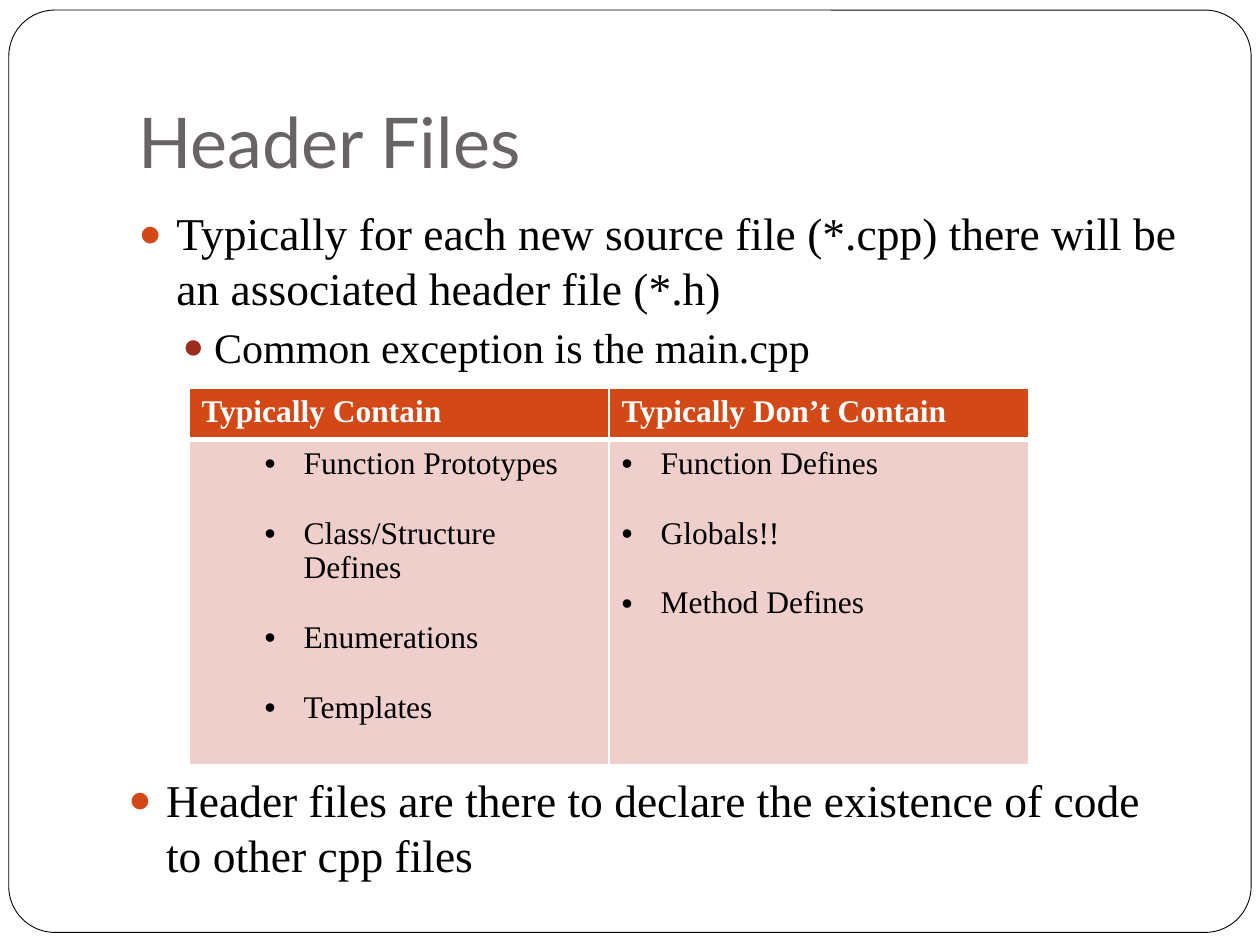
from lxml import etree
from pptx import Presentation
from pptx import util as u
from pptx.dml.color import RGBColor
from pptx.enum import shapes, text
from pptx.oxml.ns import qn

W, H = 10, 7.5
COL = dict(white="FFFFFF", black="000000", grey="696464",
           orange="D34817", red="9B2D1F", pink="EFCFCC")
SERIF = "Times New Roman"

TITLE = "Header Files"
POINTS = [
    (0, "Typically for each new source file (*.cpp) there will be an associated header file (*.h)"),
    (1, "Common exception is the main.cpp"),
]
CLOSING = [(0, "Header files are there to declare the existence of code to other cpp files")]
# heading, bullet indent, items
COLUMNS = [
    ("Typically Contain", 0.81,
     ["Function Prototypes", "Class/Structure Defines", "Enumerations", "Templates"]),
    ("Typically Don’t Contain", 0.31,
     ["Function Defines", "Globals!!", "Method Defines"]),
]
LEVELS = [
    dict(size=26, before=5.8, bullet=("●", 0.3, 0.3, COL["orange"])),
    dict(size=24, before=3.7, bullet=("●", 0.6, 0.25, COL["red"])),
]
ROWS = [0.41, 2.58]
GAP = 20


def rgb(name):
    """Colour from the palette."""
    return RGBColor.from_string(COL[name])


def box(*sides):
    """Inches as lengths."""
    return [u.Inches(s) for s in sides]


def place(shape, *sides):
    """Move and size a shape."""
    shape.left, shape.top, shape.width, shape.height = box(*sides)


def mark(para, char, left, hang, color=None):
    """Give a paragraph a hanging bullet."""
    props = para._p.get_or_add_pPr()
    props.set("marL", str(u.Inches(left)))
    props.set("indent", str(-u.Inches(hang)))
    if color:
        tint = etree.SubElement(props, qn("a:buClr"))
        etree.SubElement(tint, qn("a:srgbClr"), val=color)
        etree.SubElement(props, qn("a:buSzPct"), val="85000")
    etree.SubElement(props, qn("a:buFont"), typeface="Arial")
    etree.SubElement(props, qn("a:buChar"), char=char)


def write(frame, words, first=True, size=18, font=SERIF, color="black",
          bold=False, before=0, level=0, bullet=None):
    """Write one formatted paragraph."""
    para = frame.paragraphs[0] if first else frame.add_paragraph()
    para.level = level
    para.alignment = text.PP_ALIGN.LEFT
    para.space_before = u.Pt(before)
    if bullet:
        mark(para, *bullet)
    run = para.add_run()
    run.text = words
    run.font.size, run.font.name, run.font.bold = u.Pt(size), font, bold
    run.font.color.rgb = rgb(color)


def outline(frame, points):
    """Write the bulleted points by level."""
    frame.word_wrap = True
    frame.auto_size = text.MSO_AUTO_SIZE.NONE
    for i, (level, words) in enumerate(points):
        write(frame, words, first=i == 0, level=level, **LEVELS[level])


def paint(cell, fill, base):
    """Fill a cell and draw white borders."""
    props = cell._tc.get_or_add_tcPr()
    for side, width in zip("LRTB", (1, 1, 1, base)):
        line = etree.SubElement(props, qn("a:ln" + side), w=str(u.Pt(width)))
        solid = etree.SubElement(line, qn("a:solidFill"))
        etree.SubElement(solid, qn("a:srgbClr"), val=COL["white"])
    cell.fill.solid()
    cell.fill.fore_color.rgb = rgb(fill)


def grid(slide):
    """Build the comparison table."""
    table = slide.shapes.add_table(
        2, len(COLUMNS), *box(1.5, 3.08, W * 2 / 3, sum(ROWS))).table
    for row, high in zip(table.rows, ROWS):
        row.height = u.Inches(high)
    for i, (head, left, items) in enumerate(COLUMNS):
        top, body = table.cell(0, i), table.cell(1, i)
        paint(top, "orange", 3)
        paint(body, "pink", 1)
        write(top.text_frame, head, color="white", bold=True)
        for j, item in enumerate(items):
            write(body.text_frame, item, first=j == 0,
                  before=GAP if j else 0, bullet=("•", left, 0.31))


def border(slide):
    """Draw the rounded page frame behind everything."""
    page = slide.shapes.add_shape(
        shapes.MSO_SHAPE.ROUNDED_RECTANGLE, *box(0.07, 0.08, 9.86, 7.32))
    page.adjustments[0] = 0.05
    page.shadow.inherit = False
    page.fill.solid()
    page.fill.fore_color.rgb = rgb("white")
    page.line.color.rgb = rgb("black")
    page.line.width = u.Pt(0.5)
    slide.shapes._spTree.insert(2, page._element)


deck = Presentation()
deck.slide_width, deck.slide_height = box(W, H)
slide = deck.slides.add_slide(deck.slide_layouts[1])
border(slide)

title, body = slide.placeholders
place(title, 1, 0.3, 8.5, 1.25)
frame = title.text_frame
frame.auto_size = text.MSO_AUTO_SIZE.NONE
frame.vertical_anchor = text.MSO_ANCHOR.BOTTOM
frame.margin_bottom = u.Inches(0.1)
write(frame, TITLE, size=40, font="Lato", color="grey")

place(body, 1, 1.58, 8.5, 1.67)
outline(body.text_frame, POINTS)
grid(slide)
outline(slide.shapes.add_textbox(*box(0.92, 6.08, 8.5, 1)).text_frame, CLOSING)

deck.save("out.pptx")
